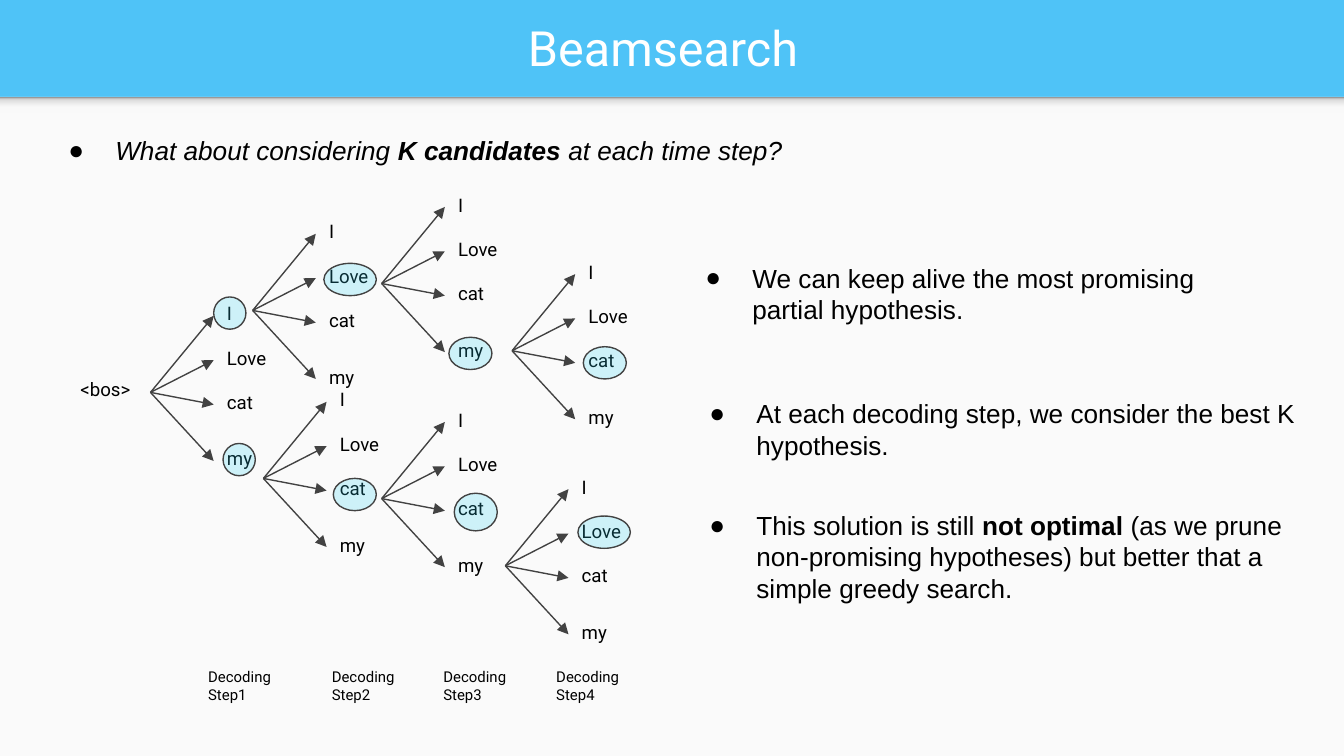
from typing import NamedTuple

from lxml import etree
from pptx import Presentation
from pptx.dml.color import RGBColor
from pptx.enum.shapes import MSO_CONNECTOR, MSO_SHAPE
from pptx.enum.text import MSO_ANCHOR, PP_ALIGN
from pptx.oxml.ns import qn
from pptx.util import Inches, Pt

RECT, OVAL = MSO_SHAPE.RECTANGLE, MSO_SHAPE.OVAL
STRAIGHT = MSO_CONNECTOR.STRAIGHT
MIDDLE, CENTER, LEFT = MSO_ANCHOR.MIDDLE, PP_ALIGN.CENTER, PP_ALIGN.LEFT

COLORS = {
    "header": "4FC3F7", "panel": "FAFAFA", "white": "FFFFFF", "text": "000000",
    "line": "424242", "beam": "29D2F5",
}
SHADE_STOPS = [(0, "F9F9F9"), (36, "F9F9F9"), (80, "DEDEDE"), (100, "999999")]
BEAM_OPACITY = 21
LINE_WIDTH = 0.75

TITLE = {"size": Pt(26), "name": "Roboto"}
WORD = {"size": Pt(10), "name": "Roboto"}
STEP = {"size": Pt(8), "name": "Roboto"}
BODY = {"size": Pt(14), "name": "Arial"}


class Box(NamedTuple):
    left: float
    top: float
    width: float
    height: float


class Run(NamedTuple):
    text: str
    bold: bool = False
    italic: bool = False


class Bullet(NamedTuple):
    box: Box
    runs: list[Run]


# Each fan: words in order, with arrow tips relative to the shared origin
VOCAB = [("I", -0.57), ("Love", -0.24), ("cat", 0.09), ("my", 0.51)]
FAN_WIDTH = 0.47
WORD_WIDTH, WORD_HEIGHT = 0.62, 0.37
FAN_ORIGINS = [
    (1.12, 2.92), (1.88, 2.31), (1.96, 3.56), (2.84, 2.11),
    (2.84, 3.71), (3.81, 2.61), (3.76, 4.21),
]

# Hypotheses kept in the beam
KEPT = [
    Box(1.59, 2.21, 0.24, 0.24), Box(1.66, 3.3, 0.24, 0.24),
    Box(2.41, 1.96, 0.39, 0.24), Box(2.48, 3.56, 0.32, 0.24),
    Box(3.34, 2.51, 0.32, 0.24), Box(4.34, 2.58, 0.32, 0.24),
    Box(3.38, 3.67, 0.32, 0.28), Box(4.3, 3.84, 0.39, 0.24),
]
STEP_LEFTS = [1.45, 2.37, 3.2, 4.04]

BULLETS = [
    Bullet(Box(0.26, 0.9, 9.57, 0.44), [
        Run("What about considering ", italic=True),
        Run("K candidates", bold=True, italic=True),
        Run(" at each time step?", italic=True)]),
    Bullet(Box(5.03, 2.86, 4.73, 0.67), [
        Run("At each decoding step, we consider the best K hypothesis.")]),
    Bullet(Box(5.03, 3.69, 4.73, 0.91), [
        Run("This solution is still "), Run("not optimal", bold=True),
        Run(" (as we prune non-promising hypotheses) but better that a "
            "simple greedy search.")]),
    Bullet(Box(5, 1.85, 4.32, 0.67), [
        Run("We can keep alive the most promising partial hypothesis.")]),
]


def rgb(name: str) -> RGBColor:
    return RGBColor.from_string(COLORS[name])


def inches(box: Box) -> list[Inches]:
    return [Inches(v) for v in box]


def add_text(shapes, box: Box, runs: list[Run], font: dict,
             color: str = "text", align=LEFT):
    tb = shapes.add_textbox(*inches(box))
    tf = tb.text_frame
    tf.word_wrap = True
    for side in ("left", "top", "right", "bottom"):
        setattr(tf, f"margin_{side}", Inches(0.1))
    p = tf.paragraphs[0]
    p.alignment = align
    for run in runs:
        r = p.add_run()
        r.text = run.text
        for key, value in {**font, "bold": run.bold, "italic": run.italic}.items():
            setattr(r.font, key, value)
        r.font.color.rgb = rgb(color)
    return tf


def add_bullet(shapes, bullet: Bullet) -> None:
    p = add_text(shapes, bullet.box, bullet.runs, BODY).paragraphs[0]
    pPr = p._p.get_or_add_pPr()
    pPr.set("marL", str(Inches(0.5)))
    pPr.set("indent", str(Inches(-0.35)))
    color = etree.SubElement(pPr, qn("a:buClr"))
    etree.SubElement(color, qn("a:srgbClr"), val=COLORS["text"])
    etree.SubElement(pPr, qn("a:buFont"), typeface="Arial")
    etree.SubElement(pPr, qn("a:buChar"), char="●")


def add_solid(shapes, kind, box: Box, color: str):
    shape = shapes.add_shape(kind, *inches(box))
    shape.shadow.inherit = False
    shape.fill.solid()
    shape.fill.fore_color.rgb = rgb(color)
    shape.line.fill.background()
    return shape


def add_shade(shapes, box: Box) -> None:
    shape = add_solid(shapes, RECT, box, "panel")
    shape.fill.gradient()
    grad = shape._element.spPr.find(qn("a:gradFill"))
    stops = grad.find(qn("a:gsLst"))
    for stop in list(stops):
        stops.remove(stop)
    for percent, color in SHADE_STOPS:
        stop = etree.SubElement(stops, qn("a:gs"), pos=str(percent * 1000))
        etree.SubElement(stop, qn("a:srgbClr"), val=color)
    shape.fill.gradient_angle = 90  # counter-clockwise: light below, dark on top


def add_arrow(shapes, x1: float, y1: float, x2: float, y2: float) -> None:
    arrow = shapes.add_connector(
        STRAIGHT, Inches(x1), Inches(y1), Inches(x2), Inches(y2))
    arrow.line.color.rgb = rgb("line")
    arrow.line.width = Pt(LINE_WIDTH)
    etree.SubElement(arrow.line._get_or_add_ln(), qn("a:tailEnd"), type="triangle")
    etree.SubElement(arrow._element.spPr, qn("a:effectLst"))


def add_fan(shapes, x: float, y: float) -> None:
    fan = shapes.add_group_shape().shapes
    tip_x = x + FAN_WIDTH
    for word, dy in VOCAB:
        box = Box(tip_x, y + dy - WORD_HEIGHT / 2, WORD_WIDTH, WORD_HEIGHT)
        add_text(fan, box, [Run(word)], WORD)
        add_arrow(fan, x, y, tip_x, y + dy)


def add_kept(shapes, box: Box) -> None:
    oval = add_solid(shapes, OVAL, box, "beam")
    oval.line.color.rgb = rgb("line")
    oval.line.width = Pt(LINE_WIDTH)
    color = oval._element.spPr.find(qn("a:solidFill")).find(qn("a:srgbClr"))
    etree.SubElement(color, qn("a:alpha"), val=str(BEAM_OPACITY * 1000))


def main() -> None:
    prs = Presentation()
    prs.slide_width = Inches(10)
    prs.slide_height = Inches(10 * 9 / 16)
    s = prs.slides.add_slide(prs.slide_layouts[6])
    shapes = s.shapes

    # Header band, body panel and the shade between them
    s.background.fill.solid()
    s.background.fill.fore_color.rgb = rgb("header")
    add_solid(shapes, RECT, Box(0, 0.72, 10, 4.91), "panel")
    add_shade(shapes, Box(0, 0.72, 10, 0.12))
    tf = add_text(shapes, Box(0.11, 0.02, 9.65, 0.66), [Run("Beamsearch")],
                  TITLE, "white", CENTER)
    tf.vertical_anchor = MIDDLE

    # Search tree
    add_text(shapes, Box(0.5, 2.73, WORD_WIDTH, WORD_HEIGHT), [Run("<bos>")], WORD)
    for x, y in FAN_ORIGINS:
        add_fan(shapes, x, y)
    for box in KEPT:
        add_kept(shapes, box)
    for number, left in enumerate(STEP_LEFTS, 1):
        add_text(shapes, Box(left, 4.87, 0.68, 0.47),
                 [Run(f"Decoding Step{number}")], STEP)

    # Explanations
    for bullet in BULLETS:
        add_bullet(shapes, bullet)

    prs.save("out.pptx")


if __name__ == "__main__":
    main()
